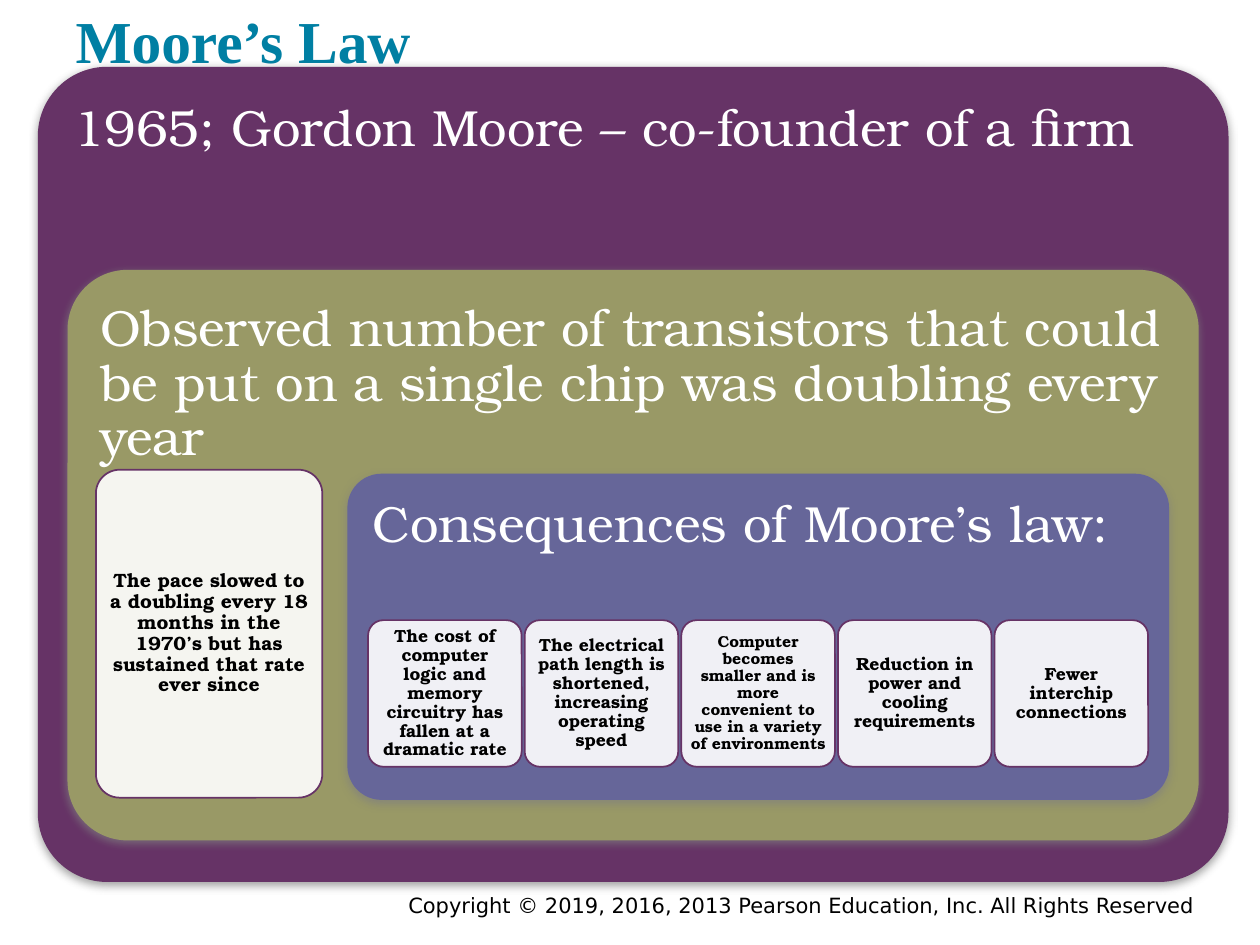
from dataclasses import dataclass

import pptx
import pptx.dml.color
import pptx.enum.shapes
import pptx.enum.text
import pptx.oxml
import pptx.oxml.ns
import pptx.util

Pt = pptx.util.Pt
Align = pptx.enum.text.PP_ALIGN
Anchor = pptx.enum.text.MSO_ANCHOR

SERIF = "TeX Gyre Bonum"
PLUM = "663366"
OLIVE = "999966"
INDIGO = "666699"
WHITE = "FFFFFF"
BLACK = "000000"


@dataclass
class Panel:
    """A filled, shadowed box with a heading at its top."""
    left: float
    top: float
    width: float
    height: float
    corner: float
    fill: str
    heading: str


@dataclass
class Card:
    """A pale outlined box with centred text."""
    left: float
    top: float
    width: float
    height: float
    text: str
    size: float
    margin: float


PANELS = [
    Panel(21.6, 38.2, 680.4, 465.8, 0.085, PLUM,
          "1965; Gordon Moore – co-founder of a firm"),
    Panel(38.6, 154.2, 646.4, 326, 0.105, OLIVE,
          "Observed number of transistors that could be put on a single chip "
          "was doubling every year"),
    Panel(198.5, 270.7, 469.6, 186.4, 0.105, INDIGO,
          "Consequences of Moore’s law:"),
]

PACE = Card(54.8, 268.4, 129.4, 187.4,
            "The pace slowed to a doubling every 18 months in the 1970’s "
            "but has sustained that rate ever since", 11, 3.6)

CONSEQUENCES = [
    ("The cost of computer logic and memory circuitry has fallen at a dramatic rate", 10),
    ("The electrical path length is shortened, increasing operating speed", 10),
    ("Computer becomes smaller and is more convenient to use in a variety of environments", 9),
    ("Reduction in power and cooling requirements", 10),
    ("Fewer interchip connections", 10),
]
FIRST_LEFT, CARD_PITCH = 210.3, 89.5


def colour(value: str) -> pptx.dml.color.RGBColor:
    return pptx.dml.color.RGBColor.from_string(value)


def write(box, text: str, *, font: str, size: float, ink: str, bold: bool = False,
          align=Align.LEFT, anchor=Anchor.TOP, margins=(7.2, 7.2), spacing=None) -> None:
    """Fill a box with one paragraph; margins are (horizontal, vertical)."""
    frame = box.text_frame
    frame.word_wrap = True
    frame.auto_size = pptx.enum.text.MSO_AUTO_SIZE.NONE
    frame.vertical_anchor = anchor
    frame.margin_left = frame.margin_right = Pt(margins[0])
    frame.margin_top = frame.margin_bottom = Pt(margins[1])
    para = frame.paragraphs[0]
    para.alignment = align
    if spacing:
        para.line_spacing = spacing
    span = para.add_run()
    span.text = text
    span.font.name = font
    span.font.size = Pt(size)
    span.font.bold = bold
    span.font.color.rgb = colour(ink)


def add_rounded(page, item, corner: float, fill: str):
    box = page.shapes.add_shape(
        pptx.enum.shapes.MSO_SHAPE.ROUNDED_RECTANGLE,
        Pt(item.left), Pt(item.top), Pt(item.width), Pt(item.height))
    box.adjustments[0] = corner
    box.shadow.inherit = False
    box.fill.solid()
    box.fill.fore_color.rgb = colour(fill)
    return box


def add_shadow(box) -> None:
    effects = box._element.spPr.find(pptx.oxml.ns.qn("a:effectLst"))
    effects.append(pptx.oxml.parse_xml(
        f'<a:outerShdw {pptx.oxml.ns.nsdecls("a")} blurRad="{Pt(5)}" dist="{Pt(2)}" '
        'dir="5400000" rotWithShape="0"><a:srgbClr val="808080">'
        '<a:alpha val="75000"/></a:srgbClr></a:outerShdw>'))


def set_opacity(box, percent: int) -> None:
    tint = box._element.spPr.find(".//" + pptx.oxml.ns.qn("a:srgbClr"))
    tint.append(pptx.oxml.parse_xml(
        f'<a:alpha {pptx.oxml.ns.nsdecls("a")} val="{percent * 1000}"/>'))


def draw_panel(page, panel: Panel) -> None:
    box = add_rounded(page, panel, panel.corner, panel.fill)
    box.line.fill.background()
    add_shadow(box)
    write(box, panel.heading, font=SERIF, size=29, ink=WHITE,
          margins=(8.64, 8.64), spacing=0.9)


def draw_card(page, card: Card) -> None:
    box = add_rounded(page, card, 0.105, WHITE)
    set_opacity(box, 90)
    box.line.color.rgb = colour(PLUM)
    box.line.width = Pt(1)
    write(box, card.text, font=SERIF, size=card.size, ink=BLACK, bold=True,
          align=Align.CENTER, anchor=Anchor.MIDDLE,
          margins=(card.margin, card.margin), spacing=0.9)


def main() -> None:
    deck = pptx.Presentation()
    deck.slide_width, deck.slide_height = Pt(720), Pt(540)
    page = deck.slides.add_slide(deck.slide_layouts.get_by_name("Title Only"))

    copyright_line = page.shapes.add_textbox(Pt(126), Pt(506.2), Pt(563.8), Pt(15.8))
    write(copyright_line,
          "Copyright © 2019, 2016, 2013 Pearson Education, Inc. All Rights Reserved",
          font="DejaVu Sans", size=12, ink=BLACK, align=Align.RIGHT, margins=(7.2, 3.6))

    title = page.shapes.title
    title.left, title.top, title.width, title.height = Pt(36), Pt(0), Pt(648), Pt(50.4)
    write(title, "Moore’s Law", font="Times New Roman", size=34, ink="007FA3",
          bold=True, anchor=Anchor.BOTTOM)

    for panel in PANELS:
        draw_panel(page, panel)
    draw_card(page, PACE)
    for index, (text, size) in enumerate(CONSEQUENCES):
        draw_card(page, Card(FIRST_LEFT + index * CARD_PITCH, 354.4, 87.8, 83.8,
                             text, size, 2.7))

    deck.save("out.pptx")


if __name__ == "__main__":
    main()
